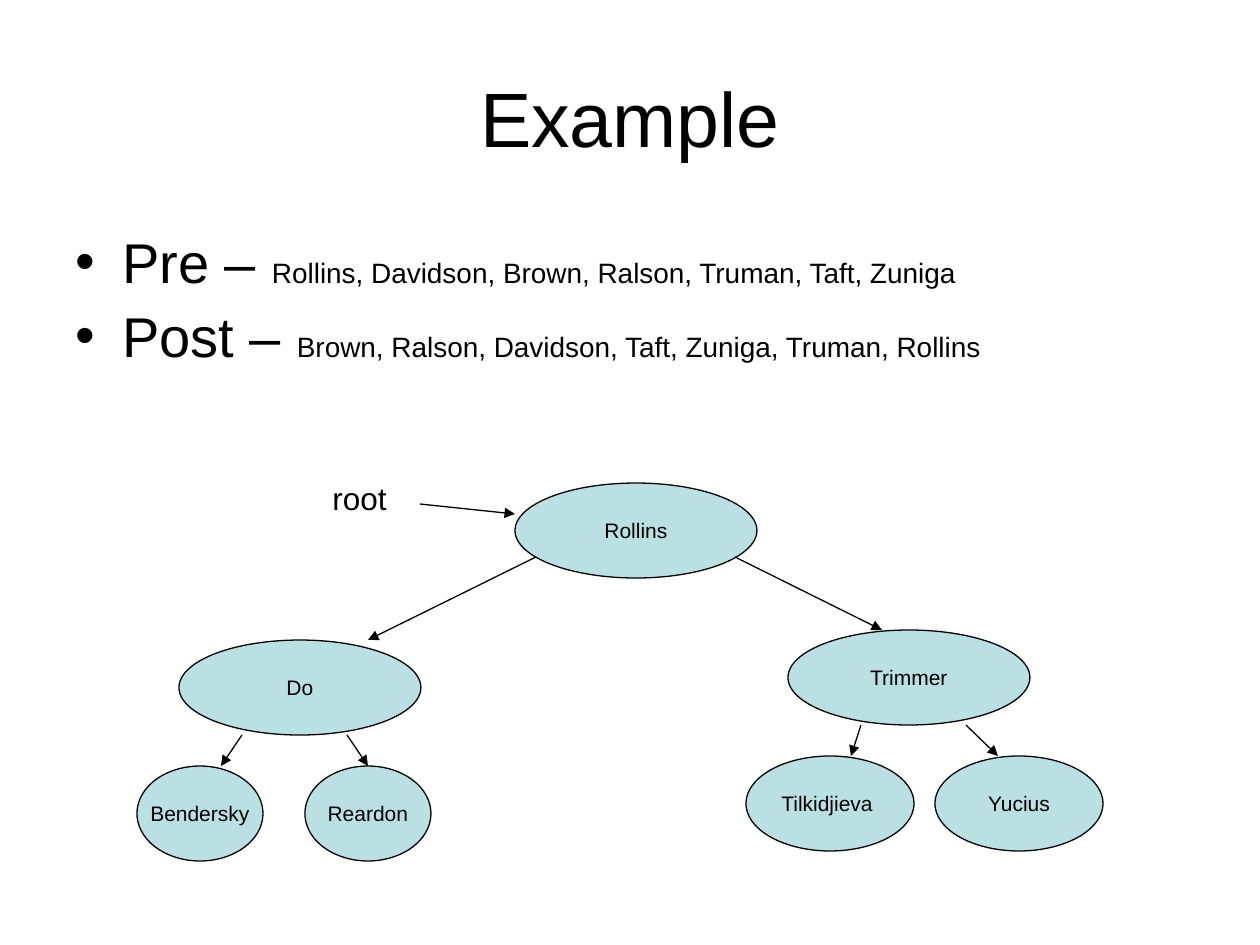
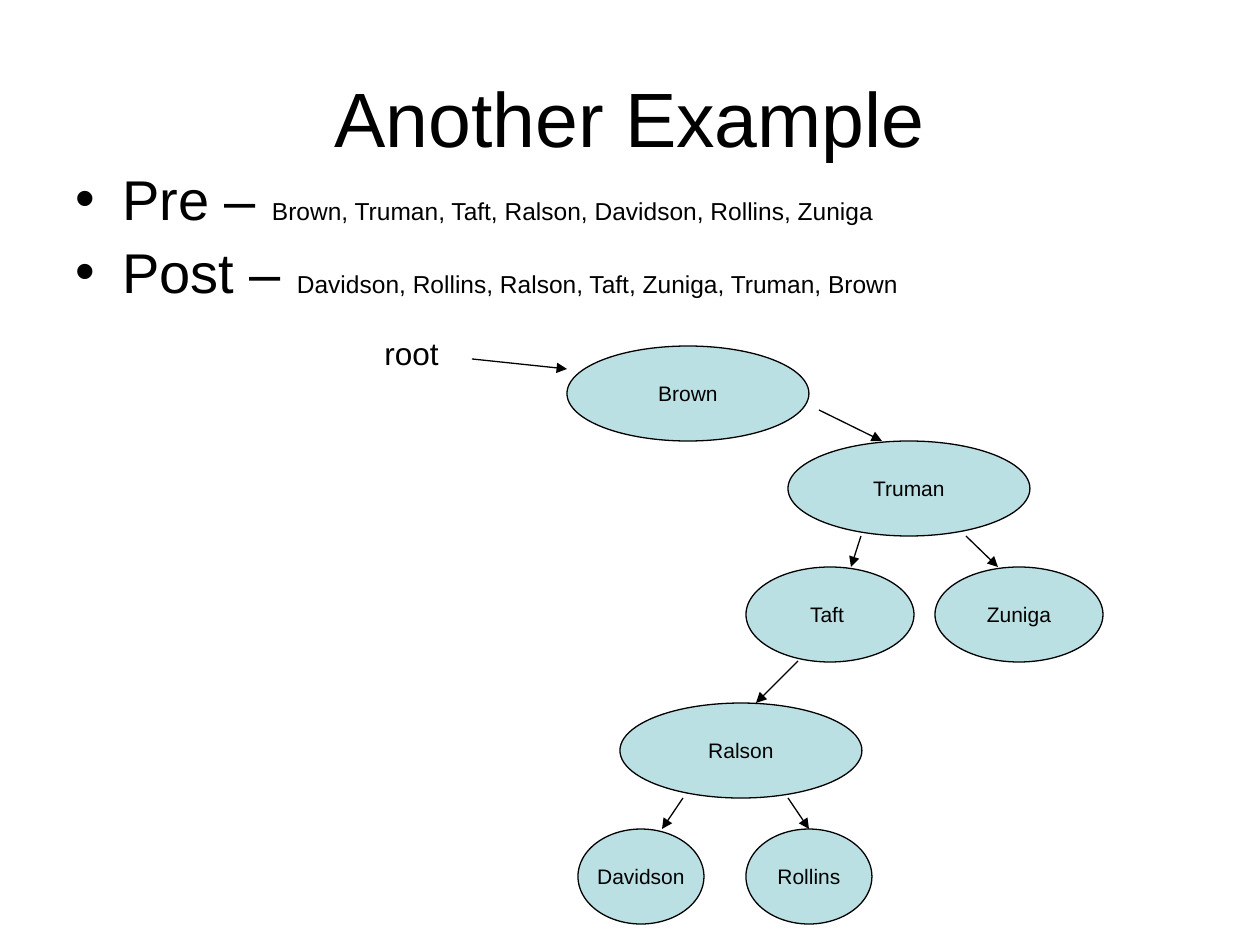
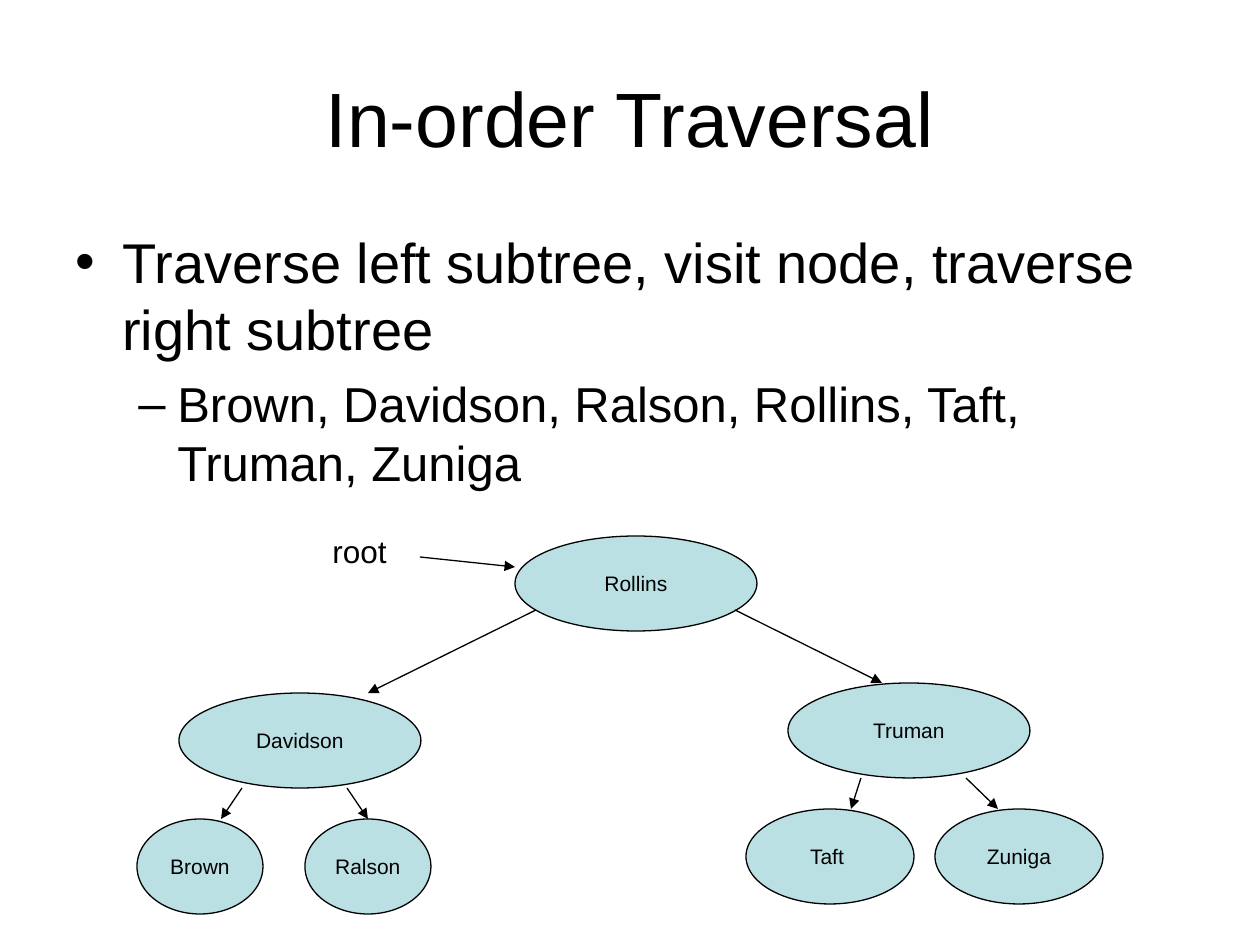
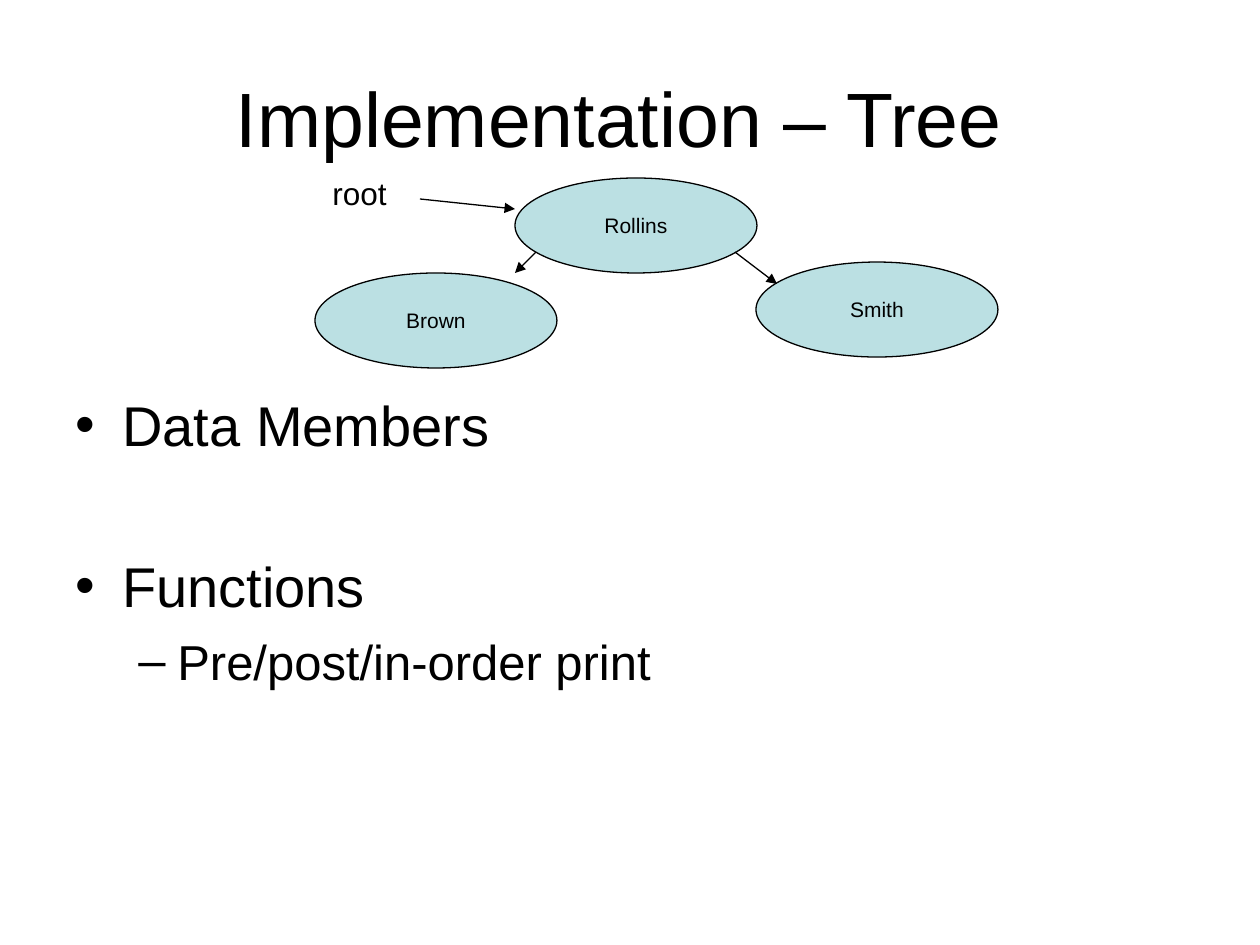
from pptx import Presentation
from pptx.dml.color import RGBColor
from pptx.enum.shapes import MSO_CONNECTOR, MSO_SHAPE
from pptx.enum.text import MSO_ANCHOR, MSO_AUTO_SIZE, PP_ALIGN
from pptx.oxml.ns import qn
from pptx.util import Pt
from lxml.etree import SubElement

# Shared look
EMU_PER_PX = 914400 / 126
FONT, INK, NODE_FILL = "Arial", "000000", "BBE0E3"
TITLE_BOX = (63, 38, 1134, 158)
NODE_HEIGHT, ROOT_WIDTH = 95, 242
LEVELS = [("•", 47, -47), ("–", 102, -39)]  # bullet, left margin, indent

# Children below a parent: child width, x of both children,
# then x of each arrow at the parent and at the child
NARROW = (126, (-42, 126), ((63, 42), (168, 189)))
BROAD = (168, (-42, 147), ((73, 63), (178, 210)))
CHILD_DROP = 126


def full_tree(top, root, left, left_children, right, right_children):
    """Root with two parents, each having two children."""
    return {
        "root": (root, 515, top),
        "pointer_shift": 0,
        "parents": [(left, 179, top + 157, NARROW, left_children),
                    (right, 788, top + 147, BROAD, right_children)],
        "arrows": [(536, top + 74, 368, top + 157),
                   (735, top + 74, 882, top + 147)],
    }


# Bullets: level, space before in points, runs of (text, size)
SLIDES = [
    {
        "title": "Example",
        "body": (63, 221, 1166, 624), "body_inset": 6,
        "bullets": [
            (0, 0, [("Pre – ", 32), ("Rollins, Davidson, Brown, Ralson, Truman, Taft, Zuniga", 16)]),
            (0, 4, [("Post – ", 32), ("Brown, Ralson, Davidson, Taft, Zuniga, Truman, Rollins", 16)]),
        ],
        "tree": full_tree(483, "Rollins", "Do", ("Bendersky", "Reardon"),
                          "Trimmer", ("Tilkidjieva ", "Yucius")),
    },
    {
        "title": "Another Example",
        "body": (63, 158, 1134, 624), "body_inset": 6,
        "bullets": [
            (0, 0, [("Pre – ", 32), ("Brown, Truman, Taft, Ralson, Davidson, Rollins, Zuniga", 14)]),
            (0, 3.5, [("Post – ", 32), ("Davidson, Rollins, Ralson, Taft, Zuniga, Truman, Brown", 14)]),
        ],
        "tree": {
            "root": ("Brown", 567, 346),
            "pointer_shift": -8,
            "parents": [("Truman", 788, 441, BROAD, ("Taft ", "Zuniga")),
                        ("Ralson", 620, 703, NARROW, ("Davidson", "Rollins"))],
            "arrows": [(819, 410, 882, 441), (798, 661, 756, 703)],
        },
    },
    {
        "title": "In-order Traversal",
        "body": (63, 221, 1134, 624), "body_inset": 6,
        "bullets": [
            (0, 0, [("Traverse left subtree, visit node, traverse right subtree", 32)]),
            (1, 7, [("Brown, Davidson, Ralson, Rollins, Taft, Truman, Zuniga", 28)]),
        ],
        "tree": full_tree(536, "Rollins", "Davidson", ("Brown", "Ralson"),
                          "Truman", ("Taft ", "Zuniga")),
    },
    {
        "title": "Implementation – Tree ",
        "body": (63, 221, 1134, 624), "body_inset": 169,
        "bullets": [
            (0, 0, [("Data Members", 32)]),
            (0, 54, [("Functions", 32)]),
            (1, 7, [("Pre/post/in-order print", 28)]),
        ],
        "tree": {
            "root": ("Rollins", 515, 178),
            "pointer_shift": 0,
            "parents": [("Brown", 315, 273, NARROW, ()),
                        ("Smith", 756, 262, NARROW, ())],
            "arrows": [(536, 252, 515, 273), (735, 252, 777, 284)],
        },
    },
]


def px(length):
    return round(length * EMU_PER_PX)


def color(hex_string):
    return RGBColor.from_string(hex_string)


def write(paragraph, text, size, align=None):
    run = paragraph.add_run()
    run.text = text
    run.font.size = Pt(size)
    run.font.name = FONT
    run.font.color.rgb = color(INK)
    if align is not None:
        paragraph.alignment = align


def add_frame(slide, box, top_inset=6, anchor=MSO_ANCHOR.TOP):
    frame = slide.shapes.add_textbox(*map(px, box)).text_frame
    frame.margin_top = px(top_inset)
    frame.vertical_anchor = anchor
    frame.word_wrap = True
    return frame


def add_bullets(slide, box, top_inset, bullets):
    frame = add_frame(slide, box, top_inset)
    for number, (level, space, runs) in enumerate(bullets):
        paragraph = frame.add_paragraph() if number else frame.paragraphs[0]
        mark, margin, indent = LEVELS[level]
        properties = paragraph._p.get_or_add_pPr()
        properties.set("marL", str(px(margin)))
        properties.set("indent", str(px(indent)))
        bullet_color = SubElement(properties, qn("a:buClr"))
        SubElement(bullet_color, qn("a:srgbClr"), val=INK)
        SubElement(properties, qn("a:buFont"), typeface=FONT)
        SubElement(properties, qn("a:buChar"), char=mark)
        paragraph.level = level
        paragraph.space_before = Pt(space)
        for text, size in runs:
            write(paragraph, text, size)


def add_node(slide, name, x, y, width=ROOT_WIDTH):
    node = slide.shapes.add_shape(
        MSO_SHAPE.OVAL, px(x), px(y), px(width), px(NODE_HEIGHT))
    node.shadow.inherit = False
    node.fill.solid()
    node.fill.fore_color.rgb = color(NODE_FILL)
    node.line.color.rgb = color(INK)
    node.line.width = Pt(0.75)
    frame = node.text_frame
    frame.word_wrap = False
    frame.vertical_anchor = MSO_ANCHOR.MIDDLE
    write(frame.paragraphs[0], name, 12, align=PP_ALIGN.CENTER)


def add_arrow(slide, *ends):
    arrow = slide.shapes.add_connector(MSO_CONNECTOR.STRAIGHT, *map(px, ends))
    arrow.line.color.rgb = color(INK)
    arrow.line.width = Pt(0.75)
    SubElement(arrow.line._get_or_add_ln(), qn("a:tailEnd"), type="triangle")
    SubElement(arrow._element.spPr, qn("a:effectLst"))


def add_tree(slide, tree):
    # Root and its pointer; no right inset, so the label stays on one line
    name, x, y = tree["root"]
    add_node(slide, name, x, y)
    pointer_y = y + tree["pointer_shift"]
    add_arrow(slide, x - 95, pointer_y + 21, x, pointer_y + 31)
    label = add_frame(slide, (x - 195, pointer_y - 10, 79, 50))
    label.margin_right = 0
    label.auto_size = MSO_AUTO_SIZE.SHAPE_TO_FIT_TEXT
    write(label.paragraphs[0], "root", 18)

    # Parents with their children
    for name, x, y, (width, offsets, arrows), children in tree["parents"]:
        add_node(slide, name, x, y)
        for child, offset, (start, end) in zip(children, offsets, arrows):
            add_node(slide, child, x + offset, y + CHILD_DROP, width)
            add_arrow(slide, x + start, y + NODE_HEIGHT, x + end, y + CHILD_DROP)

    # Arrows between the families
    for ends in tree["arrows"]:
        add_arrow(slide, *ends)


def main():
    deck = Presentation()
    deck.slide_width, deck.slide_height = px(1260), px(945)
    for content in SLIDES:
        slide = deck.slides.add_slide(deck.slide_layouts[6])
        title = add_frame(slide, TITLE_BOX, anchor=MSO_ANCHOR.MIDDLE)
        write(title.paragraphs[0], content["title"], 44, align=PP_ALIGN.CENTER)
        add_bullets(slide, content["body"], content["body_inset"], content["bullets"])
        add_tree(slide, content["tree"])
    deck.save("out.pptx")


if __name__ == "__main__":
    main()
